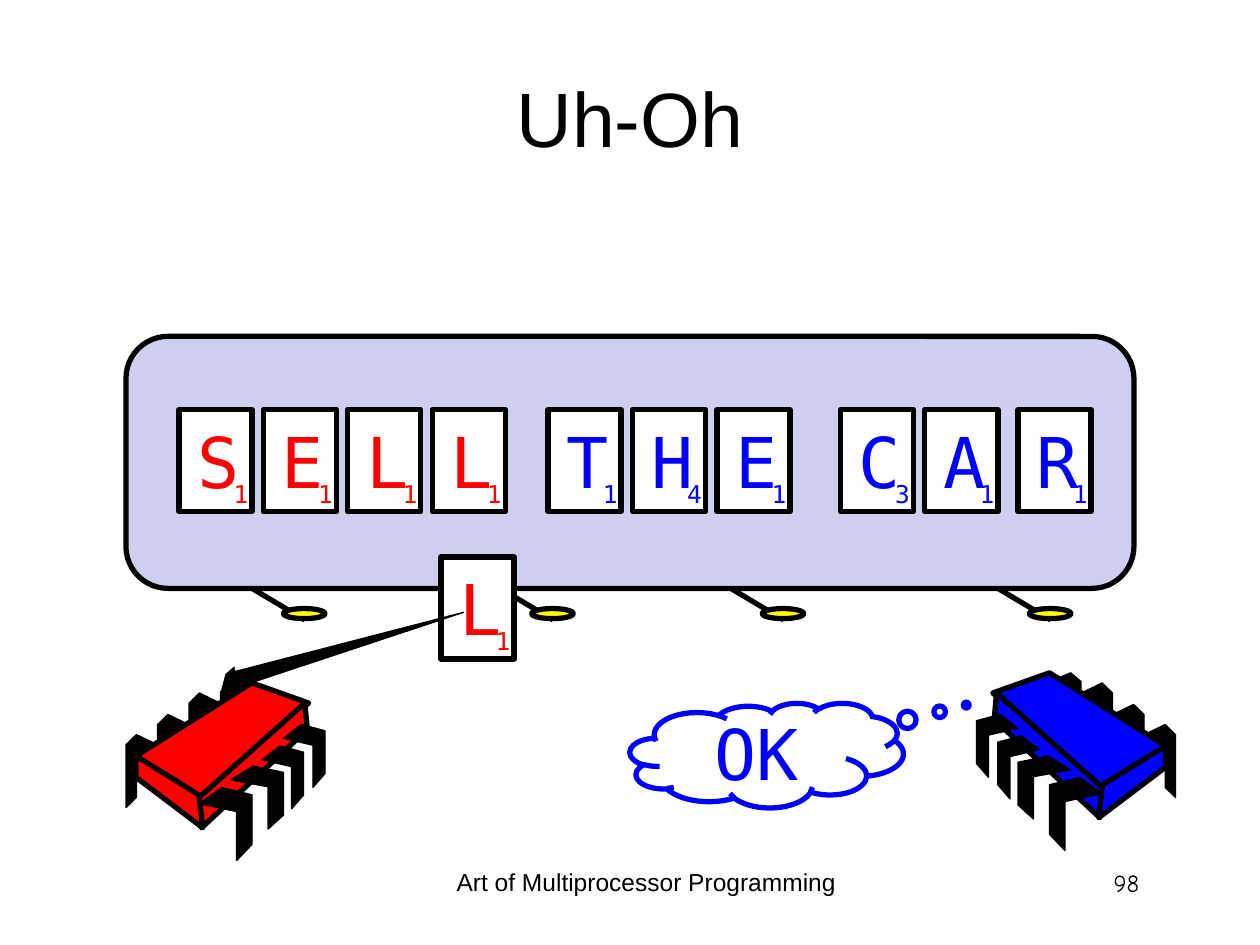
from dataclasses import dataclass

from lxml.etree import SubElement
from pptx import Presentation
from pptx.dml.color import RGBColor
from pptx.enum.shapes import MSO_CONNECTOR, MSO_SHAPE
from pptx.enum.text import MSO_ANCHOR, PP_ALIGN
from pptx.oxml.ns import qn
from pptx.util import Cm, Pt


@dataclass(frozen=True)
class Theme:
    black: str = "000000"
    white: str = "FFFFFF"
    red: str = "FF0000"
    blue: str = "0000FF"
    yellow: str = "FFFF00"
    board: str = "CECEEF"
    body: str = "Arial"
    number: str = "Comic Neue"
    mono: str = "DejaVu Sans Mono"
    title_size: int = 44
    letter_size: int = 40
    small_size: int = 14
    thick: float = 3
    thin: float = 0.75


THEME = Theme()

TITLE = "Uh-Oh"
FOOTER = "Art of Multiprocessor Programming"
PAGE_NUMBER = "98"
THOUGHT = "OK"

TILE_ROW = 3.25
TILE_STEP = 0.67
WORDS = [
    (6.67, TILE_ROW, "CA", "31", THEME.blue),
    (8.08, TILE_ROW, "R", "1", THEME.blue),
    (4.35, TILE_ROW, "THE", "141", THEME.blue),
    (1.42, TILE_ROW, "SELL", "1111", THEME.red),
    (3.5, 4.42, "L", "1", THEME.red),
]
BOARD_FEET = [2, 3.97, 5.8, 7.92]

BACK_LEG = [(1, 0.14), (0.33, 0), (0, 0.14), (0, 1), (0.33, 0.86), (0.33, 0.29), (1, 0.43)]
FRONT_LEG = [(0.43, 0), (0, 0.22), (0.71, 0.33), (0.71, 1), (1, 0.78), (1, 0.1)]
BACK_LEG_BOXES = [(1, 5.83, 0.25, 0.58), (1.25, 5.67, 0.25, 0.58),
                  (1.5, 5.5, 0.25, 0.58), (1.75, 5.42, 0.25, 0.5)]
FRONT_LEG_BOXES = [(1.58, 6.25, 0.42, 0.58), (1.83, 6.08, 0.42, 0.5),
                   (2.08, 5.92, 0.33, 0.5), (2.25, 5.75, 0.33, 0.5)]
CHIP_FACES = [
    [(2, 5.42), (1.08, 6), (1.6, 6.35), (2.45, 5.58)],
    [(2.42, 5.58), (1.58, 6.33), (1.6, 6.57), (2.44, 5.79)],
    [(1.08, 6), (1.08, 6.17), (1.61, 6.57), (1.58, 6.31)],
]
MIRROR_AXIS = 10.33
MIRROR_RISE = 0.08
ARROW = [(1.75, 5.5), (3.68, 4.86), (1.79, 5.35)]


def inch(value):
    return Cm(value * 2.54)


def colour(value):
    return RGBColor.from_string(value)


def paint(shape, fill, line, width):
    shape.shadow.inherit = False
    if fill:
        shape.fill.solid()
        shape.fill.fore_color.rgb = colour(fill)
    else:
        shape.fill.background()
    shape.line.color.rgb = colour(line)
    shape.line.width = Pt(width)
    return shape


def write(box, text, font, size, ink, align):
    box.text_frame.text = text
    para = box.text_frame.paragraphs[0]
    para.alignment = align
    para.font.name = font
    para.font.size = Pt(size)
    para.font.color.rgb = colour(ink)


def add_preset(shapes, kind, place, fill, line=THEME.black):
    return paint(shapes.add_shape(kind, *map(inch, place)), fill, line, THEME.thick)


def add_label(shapes, place, text, font, ink, align, wrap=True):
    box = shapes.add_textbox(*map(inch, place))
    box.text_frame.word_wrap = wrap
    write(box, text, font, THEME.small_size, ink, align)


def add_outline(shapes, points, fill, width, close=True):
    corners = [(inch(x), inch(y)) for x, y in points]
    builder = shapes.build_freeform(*corners[0])
    builder.add_line_segments(corners[1:], close=close)
    return paint(builder.convert_to_shape(), fill, THEME.black, width)


def add_board_foot(shapes, x):
    foot = shapes.add_group_shape().shapes
    leg = foot.add_connector(MSO_CONNECTOR.STRAIGHT, inch(x), inch(4.67), inch(x + 0.42), inch(4.92))
    leg.line.color.rgb = colour(THEME.black)
    leg.line.width = Pt(THEME.thick)
    SubElement(leg._element.spPr, qn("a:effectLst"))
    add_preset(foot, MSO_SHAPE.OVAL, (x + 0.25, 4.83, 0.33, 0.08), THEME.yellow)


def add_word(shapes, left, top, letters, scores, ink):
    word = shapes.add_group_shape().shapes
    for index, (letter, score) in enumerate(zip(letters, scores)):
        x = left + index * TILE_STEP
        tile = add_preset(word, MSO_SHAPE.RECTANGLE, (x, top, 0.58, 0.81), THEME.white)
        tile.text_frame.vertical_anchor = MSO_ANCHOR.MIDDLE
        write(tile, letter, THEME.mono, THEME.letter_size, ink, PP_ALIGN.RIGHT)
        add_label(word, (x + 0.33, top + 0.5, 0.32, 0.33), score, THEME.mono, ink,
                  PP_ALIGN.RIGHT, wrap=False)


def stretch(outline, place):
    left, top, width, height = place
    return [(left + x * width, top + y * height) for x, y in outline]


def add_chip(shapes, fill, mirrored=False):
    chip = shapes.add_group_shape().shapes
    parts = [(stretch(BACK_LEG, place), THEME.black, THEME.thin) for place in BACK_LEG_BOXES]
    parts += [(face, fill, THEME.thick) for face in CHIP_FACES]
    parts += [(stretch(FRONT_LEG, place), THEME.black, THEME.thin) for place in FRONT_LEG_BOXES]
    for points, ink, width in parts:
        if mirrored:
            points = [(MIRROR_AXIS - x, y - MIRROR_RISE) for x, y in points]
        add_outline(chip, points, ink, width)


def main():
    deck = Presentation()
    deck.slide_width, deck.slide_height = inch(10), inch(7.5)
    page = deck.slides.add_slide(deck.slide_layouts[5])
    shapes = page.shapes

    title = shapes.title
    title.left, title.top, title.width, title.height = map(inch, (0.5, 0.3, 9, 1.25))
    title.text_frame.vertical_anchor = MSO_ANCHOR.MIDDLE
    write(title, TITLE, THEME.body, THEME.title_size, THEME.black, PP_ALIGN.CENTER)

    add_preset(shapes, MSO_SHAPE.ROUNDED_RECTANGLE, (1, 2.67, 8, 2), THEME.board)
    for x in BOARD_FEET:
        add_board_foot(shapes, x)
    add_chip(shapes, THEME.red)
    for word in WORDS:
        add_word(shapes, *word)
    add_chip(shapes, THEME.blue, mirrored=True)

    cloud = add_preset(shapes, MSO_SHAPE.CLOUD_CALLOUT, (5, 5.58, 2.17, 0.83), None, THEME.blue)
    cloud.adjustments[0], cloud.adjustments[1] = 0.73, -0.48
    cloud.text_frame.vertical_anchor = MSO_ANCHOR.MIDDLE
    write(cloud, THOUGHT, THEME.mono, THEME.letter_size, THEME.blue, PP_ALIGN.CENTER)

    arrow = add_outline(shapes, ARROW, THEME.black, THEME.thin, close=False)
    SubElement(arrow.line._get_or_add_ln(), qn("a:tailEnd"), type="triangle")

    add_label(shapes, (3.42, 6.83, 3.42, 0.52), FOOTER, THEME.body, THEME.black, PP_ALIGN.CENTER)
    add_label(shapes, (7.06, 6.84, 2.08, 0.5), PAGE_NUMBER, THEME.number, THEME.black, PP_ALIGN.RIGHT)
    deck.save("out.pptx")


if __name__ == "__main__":
    main()
